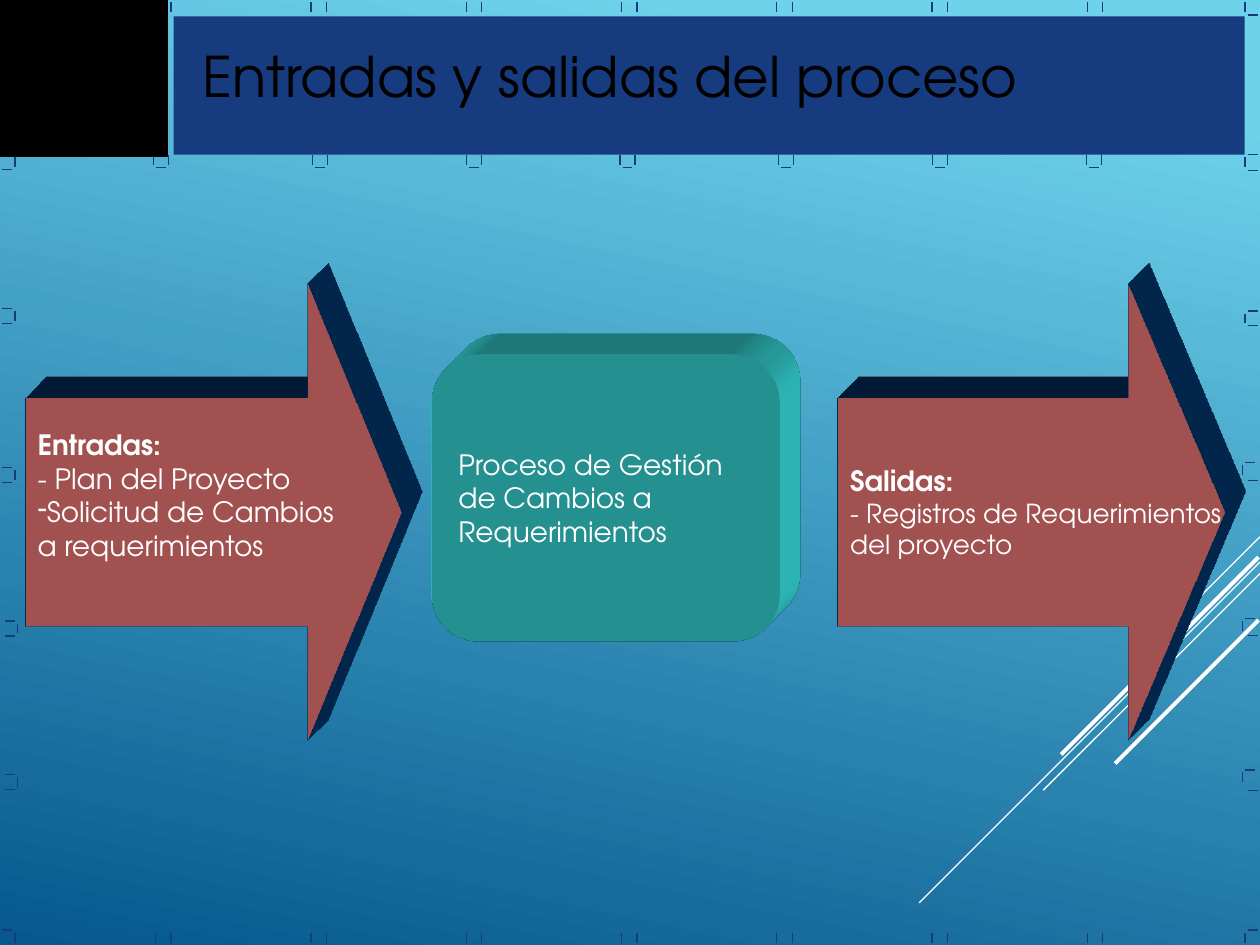
from dataclasses import dataclass

from lxml.etree import SubElement
from pptx import Presentation
from pptx.dml.color import RGBColor
from pptx.enum.shapes import MSO_CONNECTOR, MSO_SHAPE
from pptx.enum.text import MSO_ANCHOR, PP_ALIGN
from pptx.oxml import parse_xml
from pptx.oxml.ns import nsdecls, qn
from pptx.util import Cm, Pt


@dataclass(frozen=True)
class Theme:
    font: str = "TeX Gyre Adventor"
    title_size: float = 32
    body_size: float = 16
    small_size: float = 15
    black: str = "000000"
    white: str = "FFFFFF"
    navy: str = "163B7F"
    sky: str = "6ED2EB"
    ocean: str = "06588E"
    coral: str = "E67272"
    coral_side: str = "022D5B"
    teal: str = "33CCCC"


THEME = Theme()
WIDTH, HEIGHT = 25.4, 19.05
TICK, GAP = 0.2, 0.05  # dash length and its distance from a corner
CELL = TICK + 2 * GAP


def color(value):
    return RGBColor.from_string(value)


def add_line(slide, start, end, line_color=THEME.navy, width=0.75):
    points = [Cm(value) for value in (*start, *end)]
    line = slide.shapes.add_connector(MSO_CONNECTOR.STRAIGHT, *points)
    line.line.color.rgb = color(line_color)
    line.line.width = Pt(width)
    SubElement(line._element.spPr, qn("a:effectLst"))


def add_block(slide, kind, box, fill):
    shape = slide.shapes.add_shape(kind, *(Cm(value) for value in box))
    shape.shadow.inherit = False
    shape.fill.solid()
    shape.fill.fore_color.rgb = color(fill)
    shape.line.fill.background()
    return shape


def horizontal(slide, x, y):
    add_line(slide, (x, y), (x + TICK, y))


def vertical(slide, x, y):
    add_line(slide, (x, y + TICK), (x, y))


def write_lines(text_frame, lines, text_color):
    """Each line is (text, size, bold)."""
    for index, (text, size, bold) in enumerate(lines):
        paragraph = text_frame.paragraphs[0] if index == 0 else text_frame.add_paragraph()
        paragraph.text = text
        paragraph.alignment = PP_ALIGN.LEFT
        font = paragraph.runs[0].font
        font.name, font.size, font.bold = THEME.font, Pt(size), bold
        font.color.rgb = color(text_color)


def extrude(shape, side_color):
    """Give the shape an oblique depth towards the top right."""
    properties = shape._element.spPr
    properties.append(parse_xml(
        f'<a:scene3d {nsdecls("a")}><a:camera prst="legacyObliqueTopRight"/>'
        '<a:lightRig rig="legacyFlat3" dir="b"/></a:scene3d>'))
    properties.append(parse_xml(
        f'<a:sp3d {nsdecls("a")} extrusionH="430200" prstMaterial="legacyMatte">'
        '<a:bevelT w="13500" h="13500" prst="angle"/>'
        '<a:bevelB w="13500" h="13500" prst="angle"/>'
        f'<a:extrusionClr><a:srgbClr val="{side_color}"/></a:extrusionClr></a:sp3d>'))


def paint_background(slide):
    fill = slide.background.fill
    fill.gradient()
    fill.gradient_angle = 258
    for stop, position, value in zip(fill.gradient_stops, (0.1, 1), (THEME.sky, THEME.ocean)):
        stop.position = position
        stop.color.rgb = color(value)


def draw_diagonals(slide, right):
    # distance from the right edge, top, run, line width
    for inset, top, run, width in (
        (0, 10.82, 2.11, 0.75), (0, 11.33, 6.87, 0.75), (0, 11.56, 4.37, 0.75),
        (0.03, 11.23, 3.98, 2.25), (0.03, 12.5, 2.89, 2.25),
    ):
        x = right - inset
        add_line(slide, (x, top), (x - run, top + run), THEME.white, width)


def draw_grid_marks(slide, width, height):
    near, far = CELL, width - CELL
    bottom = height - TICK - GAP
    # Pairs on the top and bottom edges; the header square hides the first top one
    for column in range(7):
        x = 3.45 + 3.13 * column
        for mark_x in (x - 0.31, x):
            vertical(slide, mark_x, bottom)
            if column or mark_x == x:
                vertical(slide, mark_x, GAP)
    # Corners
    vertical(slide, far, GAP)
    horizontal(slide, far + GAP, CELL)
    for x, dash_x in ((near, GAP), (far, far + GAP)):
        vertical(slide, x, bottom)
        horizontal(slide, dash_x, height - CELL)
    # Brackets on the left and right edges
    for row, (left_y, right_y) in enumerate(
            ((3.12, 3.12), (6.22, 6.27), (9.42, 9.32), (12.52, 12.47), (15.62, 15.52))):
        left_x = near if row < 3 else near + GAP
        right_x = far if row < 2 else far - GAP
        vertical(slide, left_x, left_y + GAP)
        vertical(slide, right_x, right_y + GAP)
        for y in (left_y, left_y + CELL):
            horizontal(slide, left_x - GAP - TICK, y)
        horizontal(slide, right_x + GAP, right_y)
        horizontal(slide, far + GAP, 3.43 + 3.125 * row)
    # Brackets under the header
    for x in (3.1, 6.3, 9.4, 12.5, 15.7, 18.8, 21.9):
        vertical(slide, x, 3.12)
        vertical(slide, x + CELL, 3.12)
        horizontal(slide, x + GAP, 3.38)


def draw_header(slide, left, top, width, height):
    add_block(slide, MSO_SHAPE.RECTANGLE, (left, top, width, height), THEME.navy)
    square = add_block(slide, MSO_SHAPE.RECTANGLE, (0, -0.03, 3.38, 3.18), THEME.black)
    square.line.color.rgb = color(THEME.black)
    square.line.width = Pt(1)
    title = slide.shapes.add_textbox(Cm(left + 0.33), Cm(top + 0.38), Cm(17.27), Cm(1.6))
    title.text_frame.word_wrap = True
    write_lines(title.text_frame,
                [("Entradas y salidas del proceso", THEME.title_size, False)], THEME.black)


def draw_solid(slide, kind, box, fill, side_color, lines, adjustments, wrap):
    shape = add_block(slide, kind, box, fill)
    for index, value in enumerate(adjustments):
        shape.adjustments[index] = value
    extrude(shape, side_color)
    text_frame = shape.text_frame
    text_frame.word_wrap = wrap
    text_frame.vertical_anchor = MSO_ANCHOR.MIDDLE
    write_lines(text_frame, lines, THEME.white)
    return shape


def draw_arrow(slide, box, lines):
    return draw_solid(slide, MSO_SHAPE.RIGHT_ARROW, box, THEME.coral, THEME.coral_side,
                      lines, (0.5, 0.25), False)


def draw_flow(slide, left, top, height):
    body, small = THEME.body_size, THEME.small_size
    # Inputs
    inputs = draw_arrow(slide, (left, top, 7.59, height), [
        ("Entradas:", body, True), ("- Plan del Proyecto", body, False),
        ("Solicitud de Cambios", body, False), ("a requerimientos", body, False)])
    inputs.text_frame.margin_bottom = Cm(0.81)
    bullet = SubElement(inputs.text_frame.paragraphs[2]._p.get_or_add_pPr(), qn("a:buChar"))
    bullet.set("char", "-")
    # Process
    draw_solid(slide, MSO_SHAPE.ROUNDED_RECTANGLE, (left + 8.2, top + 1.42, 7.01, 5.79),
               THEME.teal, THEME.teal,
               [("Proceso de Gestión de Cambios a Requerimientos", body, False)],
               (0.167,), True)
    # Outputs
    draw_arrow(slide, (left + 16.38, top, 7.8, height), [
        ("Salidas:", body, True), ("- Registros de Requerimientos", small, False),
        ("del proyecto", small, False)])


def main():
    presentation = Presentation()
    presentation.slide_width, presentation.slide_height = Cm(WIDTH), Cm(HEIGHT)
    slide = presentation.slides.add_slide(presentation.slide_layouts[6])
    paint_background(slide)
    draw_diagonals(slide, WIDTH)
    draw_grid_marks(slide, WIDTH, HEIGHT)
    draw_header(slide, 3.5, 0.33, 21.59, 2.79)
    draw_flow(slide, 0.51, 5.72, 9.2)
    presentation.save("out.pptx")


if __name__ == "__main__":
    main()
